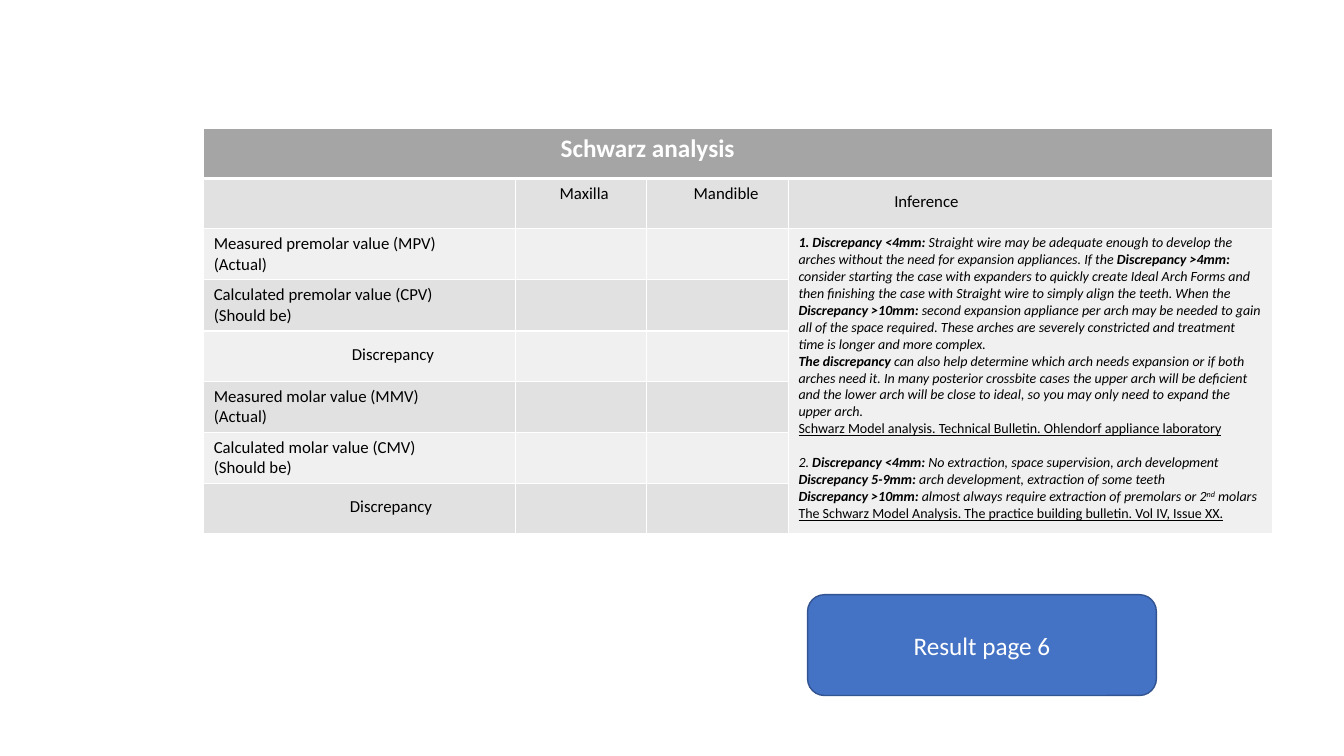
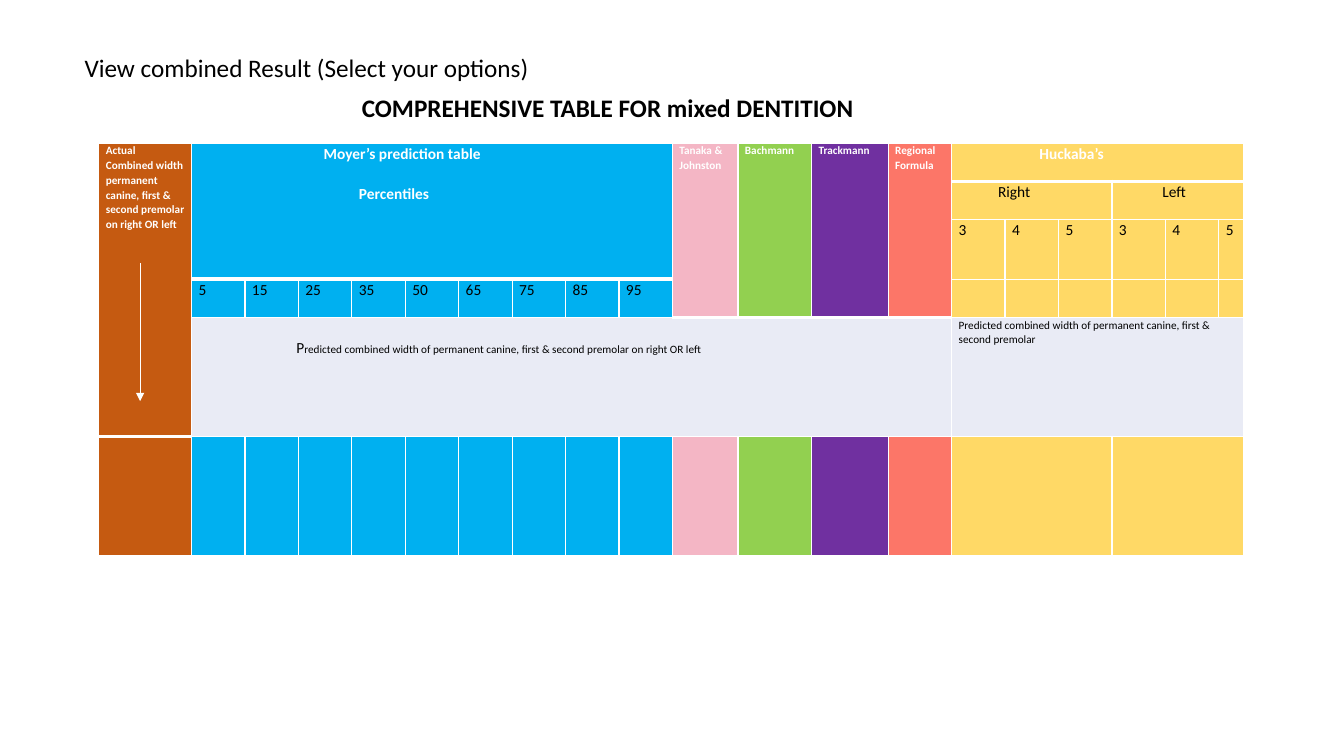
from dataclasses import dataclass

from pptx import Presentation, util as u
from pptx.dml.color import RGBColor
from pptx.enum import shapes, text
from pptx.oxml import parse_xml
from pptx.oxml.ns import nsdecls, qn
from lxml import etree

EMU_PER_PX = 9144


@dataclass(frozen=True)
class Theme:
    font: str = "Calibri"
    black: str = "000000"
    white: str = "FFFFFF"
    header_grey: str = "A5A5A5"
    dark_band: str = "E1E1E1"
    light_band: str = "F0F0F0"
    button: str = "4472C4"
    button_edge: str = "325491"
    brown: str = "C55A11"
    blue: str = "00B0F0"
    pink: str = "F4B6C5"
    green: str = "92D050"
    purple: str = "7030A0"
    coral: str = "FC7668"
    yellow: str = "FFD966"
    pale: str = "E9EBF5"
    title: int = 18
    label: int = 12
    heading: int = 11
    note: int = 10
    small: int = 8
    thin: int = 1
    thick: int = 3


T = Theme()


def px(length):
    return u.Emu(length * EMU_PER_PX)


def rgb(colour):
    return RGBColor.from_string(colour)


def add_run(paragraph, content, size=T.label, colour=T.black, bold=False,
            italic=False, underline=False, raised=False):
    run = paragraph.add_run()
    run.text = content
    font = run.font
    font.name, font.size, font.color.rgb = T.font, u.Pt(size), rgb(colour)
    font.bold, font.italic, font.underline = bold, italic, underline
    if raised:
        run._r.get_or_add_rPr().set("baseline", "30000")


def write(frame, content, indent=0, before=0, spacing=None, align=None,
          bold=False, **style):
    """Add a paragraph; **...** toggles bold and ^...^ raises."""
    paragraph = frame.paragraphs[0]
    if paragraph.runs:
        paragraph = frame.add_paragraph()
    if indent:
        paragraph._p.get_or_add_pPr().set("marL", str(px(indent)))
    if before:
        paragraph.space_before = u.Pt(before)
    paragraph.line_spacing = spacing
    paragraph.alignment = align
    for i, part in enumerate(content.split("**")):
        for j, piece in enumerate(part.split("^")):
            if piece:
                add_run(paragraph, piece, bold=bold != bool(i % 2),
                        raised=bool(j % 2), **style)
    return paragraph


def add_label(slide, box, content, **style):
    frame = slide.shapes.add_textbox(*map(px, box)).text_frame
    frame.word_wrap = True
    write(frame, content, size=T.title, **style)


def set_border(cell, side, width):
    cell._tc.get_or_add_tcPr().append(parse_xml(
        f'<a:ln{side} {nsdecls("a")} w="{u.Pt(width)}"><a:solidFill>'
        f'<a:srgbClr val="{T.white}"/></a:solidFill></a:ln{side}>'))


def add_grid(slide, left, top, cols, rows, merges, header_ends, fill_at,
             margins):
    """Add a table; header_ends gives each column's last header row."""
    table = slide.shapes.add_table(
        len(rows), len(cols),
        *map(px, (left, top, sum(cols), sum(rows)))).table
    table.first_row = table.horz_banding = False
    for column, width in zip(table.columns, cols):
        column.width = px(width)
    for row, height in zip(table.rows, rows):
        row.height = px(height)
    for r, c, height, width in merges:
        table.cell(r, c).merge(table.cell(r + height - 1, c + width - 1))
    side_margin, end_margin = map(px, margins)
    for r in range(len(rows)):
        for c, header_end in enumerate(header_ends):
            cell = table.cell(r, c)
            last = r + (cell.span_height if cell.is_merge_origin else 1) - 1
            cell.margin_left = cell.margin_right = side_margin
            cell.margin_top = cell.margin_bottom = end_margin
            set_border(cell, "L", T.thin)
            set_border(cell, "R", T.thin)
            set_border(cell, "T", T.thick if r == header_end + 1 else T.thin)
            set_border(cell, "B", T.thick if last == header_end else T.thin)
            cell.fill.solid()
            cell.fill.fore_color.rgb = rgb(fill_at(r, c))
    return table


def write_inference(frame):
    style = dict(size=T.note)
    for content in (
        "**1. Discrepancy <4mm:** Straight wire may be adequate enough to "
        "develop the arches without the need for expansion appliances. If the "
        "**Discrepancy >4mm:** consider starting the case with expanders to "
        "quickly create Ideal Arch Forms and then finishing the case with "
        "Straight wire to simply align the teeth. When the **Discrepancy "
        ">10mm:** second expansion appliance per arch may be needed to gain "
        "all of the space required. These arches are severely constricted and "
        "treatment time is longer and more complex.",
        "**The discrepancy** can also help determine which arch needs "
        "expansion or if both arches need it. In many posterior crossbite "
        "cases the upper arch will be deficient and the lower arch will be "
        "close to ideal, so you may only need to expand the upper arch.",
    ):
        write(frame, content, italic=True, **style)
    write(frame, "Schwarz Model analysis. Technical Bulletin. Ohlendorf "
          "appliance laboratory", underline=True, **style)
    write(frame, "2. **Discrepancy <4mm:** No extraction, space supervision, "
          "arch development", before=12, italic=True, **style)
    for content in (
        "**Discrepancy 5-9mm:** arch development, extraction of some teeth",
        "**Discrepancy >10mm:** almost always require extraction of premolars "
        "or 2^nd^ molars",
    ):
        write(frame, content, italic=True, **style)
    write(frame, "The Schwarz Model Analysis. The practice building bulletin. "
          "Vol IV, Issue XX.", underline=True, **style)


def add_schwarz_table(slide, left, top):
    def fill_at(r, c):
        if r == 0:
            return T.header_grey
        return T.dark_band if r % 2 else T.light_band

    table = add_grid(slide, left, top, cols=[309, 130, 141, 480],
                     rows=[50] * 8, merges=[(0, 0, 1, 4), (2, 3, 6, 1)],
                     header_ends=[0] * 4, fill_at=fill_at, margins=(10, 5))
    write(table.cell(0, 0).text_frame, "Schwarz analysis", indent=344,
          size=T.title, colour=T.white, bold=True)
    for c, heading, indent in ((1, "Maxilla", 34), (2, "Mandible", 37),
                               (3, "Inference", 95)):
        write(table.cell(1, c).text_frame, heading, indent=indent)
    for r, measure, basis in (
        (2, "Measured premolar value (MPV)", "(Actual)"),
        (3, "Calculated premolar value (CPV)", "(Should be)"),
        (5, "Measured molar value (MMV)", "(Actual)"),
        (6, "Calculated molar value (CMV)", "(Should be)"),
    ):
        write(table.cell(r, 0).text_frame, measure)
        write(table.cell(r, 0).text_frame, basis)
    for r, indent in ((4, 137), (7, 135)):
        write(table.cell(r, 0).text_frame, "Discrepancy", indent=indent)
    for r, c in ((1, 3), (4, 0), (7, 0)):
        table.cell(r, c).margin_top = px(13)
    write_inference(table.cell(2, 3).text_frame)


def add_result_button(slide, box, content):
    button = slide.shapes.add_shape(shapes.MSO_SHAPE.ROUNDED_RECTANGLE,
                                    *map(px, box))
    button.shadow.inherit = False
    button.fill.solid()
    button.fill.fore_color.rgb = rgb(T.button)
    button.line.color.rgb = rgb(T.button_edge)
    button.line.width = u.Pt(1)
    button.text_frame.vertical_anchor = text.MSO_ANCHOR.MIDDLE
    write(button.text_frame, content, size=T.title, colour=T.white,
          align=text.PP_ALIGN.CENTER)


def add_down_arrow(slide, x, top, length):
    arrow = slide.shapes.add_connector(
        shapes.MSO_CONNECTOR.STRAIGHT,
        *map(px, (x, top, x, top + length)))
    arrow.line.color.rgb = rgb(T.white)
    arrow.line.width = u.Pt(0.5)
    etree.SubElement(arrow.line._get_or_add_ln(), qn("a:tailEnd"),
                     type="triangle")
    etree.SubElement(arrow._element.spPr, qn("a:effectLst"))


def add_dentition_table(slide, left, top):
    column_fills = ([T.brown] + [T.blue] * 9
                    + [T.pink, T.green, T.purple, T.coral] + [T.yellow] * 6)
    prediction_row = 4

    def fill_at(r, c):
        return T.pale if r == prediction_row and c else column_fills[c]

    table = add_grid(
        slide, left, top,
        cols=[92] + [53] * 9 + [65, 73, 76, 63] + [53] * 5 + [25],
        rows=[38, 38, 59, 38, 118, 118],
        merges=[(0, 0, 5, 1), (0, 1, 3, 9), (0, 14, 1, 6),
                (prediction_row, 1, 1, 13), (prediction_row, 14, 1, 6),
                *[(0, c, 4, 1) for c in range(10, 14)],
                *[(r, c, 1, 3) for r in (1, 5) for c in (14, 17)]],
        header_ends=[4] + [2] * 9 + [3] * 4 + [0] * 6,
        fill_at=fill_at, margins=(7, 0))

    def fill_in(r, c, content, size=T.heading, **style):
        return write(table.cell(r, c).text_frame, content, size=size,
                     spacing=1.07, **style)

    white_bold = dict(colour=T.white, bold=True)
    for c, lines in (
        (0, ("Actual", "Combined width", "permanent canine, first & second "
             "premolar on right OR left")),
        (10, ("Tanaka &", "Johnston")),
        (11, ("Bachmann",)),
        (12, ("Trackmann",)),
        (13, ("Regional", "Formula")),
    ):
        for line in lines:
            fill_in(0, c, line, size=T.small, **white_bold)
    fill_in(0, 1, "Moyer’s prediction table", indent=124, **white_bold)
    fill_in(0, 1, "Percentiles", indent=159, before=14, **white_bold)
    fill_in(0, 14, "Huckaba’s", indent=80, **white_bold)
    for c, side, indent in ((14, "Right", 39), (17, "Left", 43)):
        fill_in(1, c, side, indent=indent)
        for offset, tooth in enumerate("345"):
            fill_in(2, c + offset, tooth)
    for c, percentile in enumerate((5, 15, 25, 35, 50, 65, 75, 85, 95), 1):
        fill_in(3, c, str(percentile))
    table.cell(prediction_row, 1).margin_top = px(20)
    prediction = fill_in(prediction_row, 1, "P", indent=97)
    add_run(prediction, "redicted combined width of permanent canine, first & "
            "second premolar on right OR left", size=T.small)
    fill_in(prediction_row, 14, "Predicted combined width of permanent "
            "canine, first & second premolar", size=T.small)
    add_down_arrow(slide, left + 41, top + 119, 137)


def build_schwarz_slide(slide):
    add_schwarz_table(slide, 202, 127)
    add_result_button(slide, (801, 590, 346, 100), "Result page 6")


def build_combined_slide(slide):
    add_label(slide, (74, 47, 1151, 40),
              "View combined Result (Select your options)")
    add_dentition_table(slide, 98, 142)
    add_label(slide, (349, 87, 712, 40),
              "COMPREHENSIVE TABLE FOR mixed DENTITION", bold=True)


def main():
    deck = Presentation()
    deck.slide_width, deck.slide_height = px(1333), px(750)
    blank = deck.slide_layouts[6]
    for build in (build_schwarz_slide, build_combined_slide):
        build(deck.slides.add_slide(blank))
    deck.save("out.pptx")


if __name__ == "__main__":
    main()
